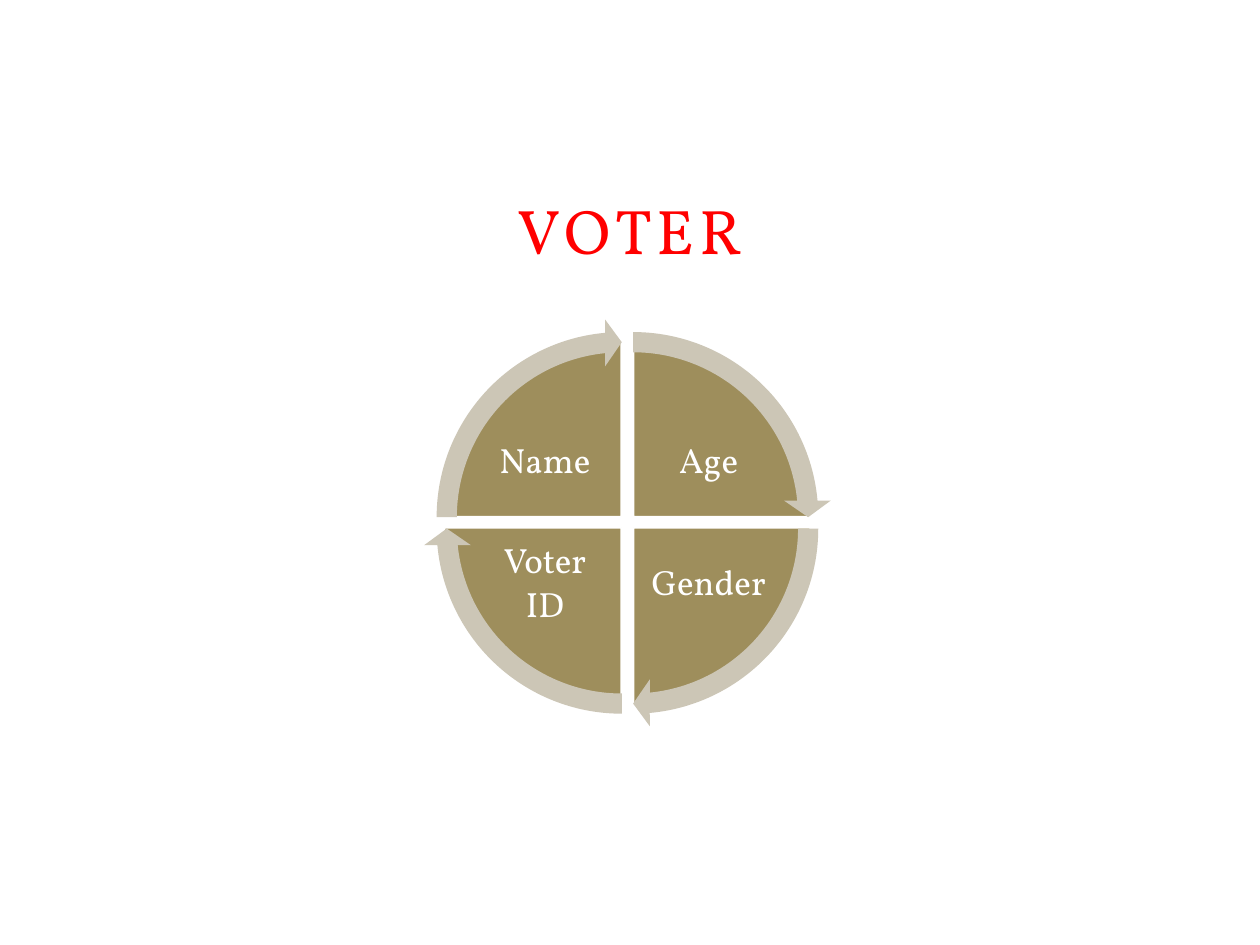
from pptx import Presentation
from pptx import util as u
from pptx.dml.color import RGBColor
from pptx.enum import shapes, text

RED = RGBColor(0xFF, 0x00, 0x00)
WHITE = RGBColor(0xFF, 0xFF, 0xFF)
OLIVE = RGBColor(0x9E, 0x8E, 0x5C)
SAND = RGBColor(0xCC, 0xC6, 0xB6)
COLS, ROWS = 100, 75
TURN = 54  # a quarter turn in adjustment units
TIP = 3.275


class Deck:
    """Holds the style and the current slide."""
    font = "Vollkorn"

    def __init__(self):
        """Open a deck with one blank slide."""
        self.prs = Presentation()
        self.prs.slide_width, self.prs.slide_height = u.Inches(10), u.Inches(7.5)
        self.slide = self.prs.slides.add_slide(self.prs.slide_layouts[6])
        self.home = self.slide.shapes

    def box(self, *cells):
        """Turn left, top, width and height in grid cells into lengths."""
        wide, high = self.prs.slide_width / COLS, self.prs.slide_height / ROWS
        return [round(n * unit) for n, unit in zip(cells, (wide, high) * 2)]

    def group(self):
        """Put the elements that follow into a group."""
        self.home = self.slide.shapes.add_group_shape().shapes

    def shape(self, kind, cells, fill, turns, line=None):
        """Draw a preset shape with its adjustments."""
        item = self.home.add_shape(kind, *self.box(*cells))
        item.shadow.inherit = False
        item.fill.solid()
        item.fill.fore_color.rgb = fill
        if line:
            item.line.color.rgb, item.line.width = line, u.Pt(0.85)
        else:
            item.line.fill.background()
        for i, turn in enumerate(turns):
            item.adjustments[i] = turn

    def text(self, lines, cells, size, color, frame, para=None, track=0):
        """Write centred lines, one paragraph each."""
        body = self.home.add_textbox(*self.box(*cells)).text_frame
        body.text = "\n".join(lines)
        assign(body, {"word_wrap": True, **frame})
        for p in body.paragraphs:
            assign(p, {"alignment": text.PP_ALIGN.CENTER, **(para or {})})
            for run in p.runs:
                assign(run.font, {"name": self.font, "size": u.Pt(size)})
                run.font.color.rgb = color
                if track:
                    run.font._element.set("spc", str(track * 100))


def assign(item, values):
    """Set attributes from a dict."""
    for name, value in values.items():
        setattr(item, name, value)


LABEL = {"vertical_anchor": text.MSO_ANCHOR.MIDDLE}
LABEL.update({"margin_" + side: u.Inches(0.03)
              for side in ("left", "top", "right", "bottom")})
PARA = {"line_spacing": 0.9, "space_after": u.Pt(3.5)}

# words, column, row and start angle, clockwise from the top right
PARTS = [
    (["Age"], 1, 0, 3 * TURN),
    (["Gender"], 1, 1, 0),
    (["Voter", "ID"], 0, 1, TURN),
    (["Name"], 0, 0, 2 * TURN),
]

deck = Deck()
deck.text(["VOTER"], (15, 14.2, 70, 7.5), 36, RED,
          {"vertical_anchor": text.MSO_ANCHOR.BOTTOM}, track=3)
deck.group()
for words, col, row, start in PARTS:
    deck.shape(shapes.MSO_SHAPE.PIE, (35.3 + col, 27 + 0.9 * row, 28, 28),
               OLIVE, (start, (start + TURN) % (4 * TURN)), WHITE)
    deck.text(words, (38.1 + 13 * col, 32.8 + 9.7 * row, 10.3, 7.7),
              20, WHITE, LABEL, PARA)
for words, col, row, start in PARTS:
    deck.shape(shapes.MSO_SHAPE.CIRCULAR_ARROW,
               (33.6 + 0.9 * col, 25.3 + 0.9 * row, 31.5, 31.5),
               SAND, (0.051, TIP, start + TURN - TIP, start, 0.059))
deck.prs.save("out.pptx")
